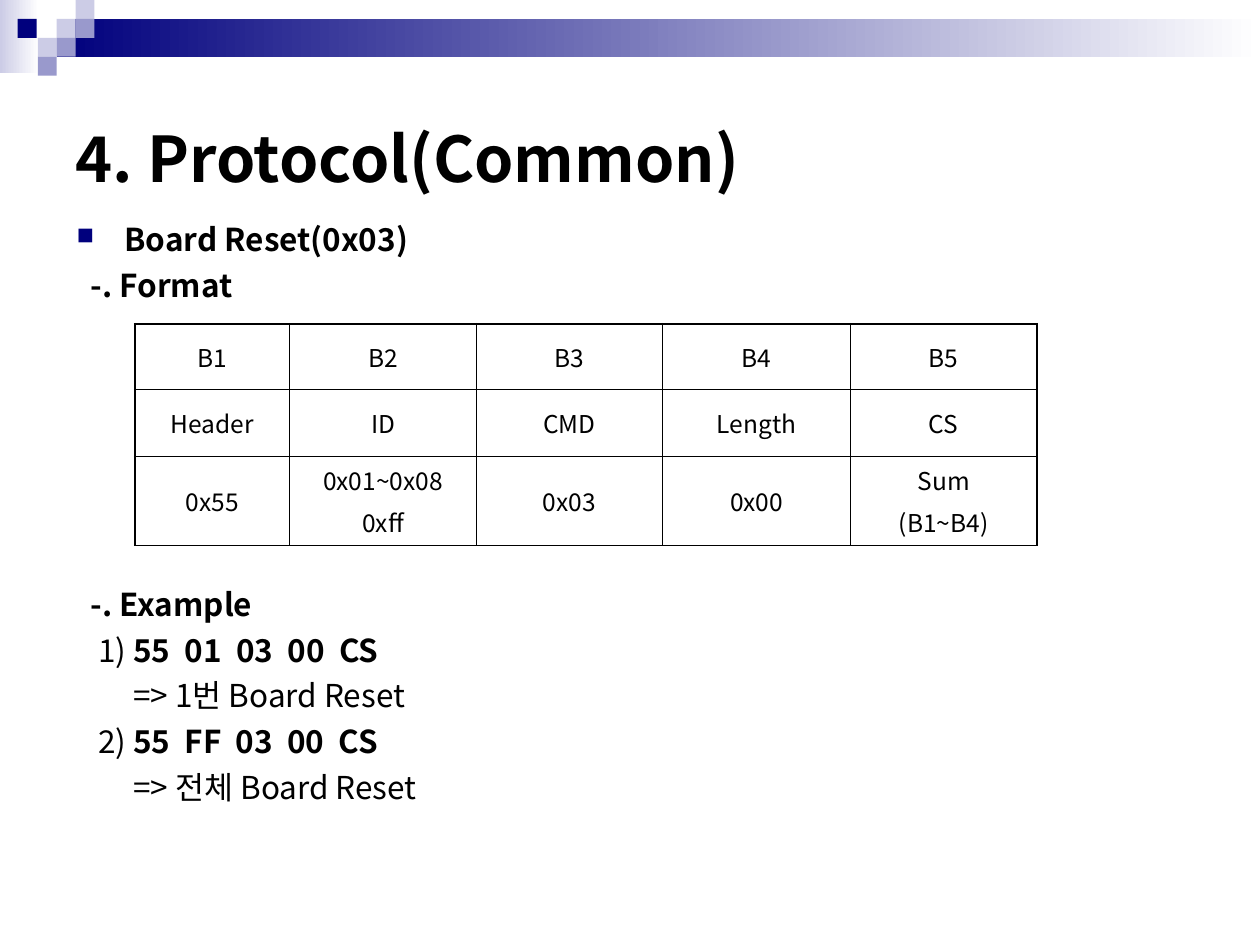
"""Build the Board Reset protocol slide."""
import pptx
import pptx.dml.color
import pptx.enum.shapes
import pptx.enum.text
import pptx.oxml.ns
import pptx.util
from lxml import etree

Inches, Pt = pptx.util.Inches, pptx.util.Pt
MIDDLE = pptx.enum.text.MSO_ANCHOR.MIDDLE
FONT = "Noto Sans CJK KR"
BLACK, WHITE, NAVY, LILAC, VIOLET = "000000", "FFFFFF", "00007D", "CCCCE6", "9999CC"

TITLE = "4. Protocol(Common)"
BANDS = [((0, 0, 0.31, 0.58), LILAC), ((0.45, 0.15, 9.55, 0.3), NAVY)]
TILE = 0.15
TILES = [
    (0.45, 0.15, LILAC), (0.6, 0, LILAC), (0.6, 0.15, VIOLET), (0.3, 0.3, LILAC),
    (0.14, 0.15, NAVY), (0.45, 0.3, VIOLET), (0.3, 0.45, VIOLET),
]
GAP, TABLE_GAP = 4.5, 160.7
LINES = [
    (0.38, GAP, "", "Board Reset(0x03)", ""),
    (0.11, GAP, "", "-. Format", ""),
    (0.11, TABLE_GAP, "", "-. Example", ""),
    (0.17, GAP, "1) ", "55  01  03  00  CS", ""),
    (0.45, GAP, "", "", "=> 1번 Board Reset"),
    (0.17, GAP, "2) ", "55  FF  03  00  CS", ""),
    (0.45, GAP, "", "", "=> 전체 Board Reset"),
]
ROWS = [
    ["B1", "B2", "B3", "B4", "B5"],
    ["Header", "ID", "CMD", "Length", "CS"],
    ["0x55", "0x01~0x08\n0xff", "0x03", "0x00", "Sum\n(B1~B4)"],
]
COL_WIDTHS = [1.23, 1.48, 1.48, 1.49, 1.48]
ROW_HEIGHTS = [0.52, 0.53, 0.71]
THICK, THIN = 1.08, 0.45


def rgb(color):
    """Turn a hex string into a colour."""
    return pptx.dml.color.RGBColor.from_string(color)


def child(parent, tag, **attrs):
    """Append a DrawingML element."""
    return etree.SubElement(parent, pptx.oxml.ns.qn(tag), attrs)


def style(p, size, bold=None):
    """Set the font of a paragraph for Latin and Korean text."""
    p.font.size, p.font.bold = Pt(size), bold
    p.font.color.rgb = rgb(BLACK)
    p.font.name = FONT
    child(p._p.pPr.get_or_add_defRPr(), "a:ea", typeface=FONT)


def add_rect(shapes, box, color, fade=False):
    """Add a plain or fading rectangle without outline."""
    sp = shapes.add_shape(pptx.enum.shapes.MSO_SHAPE.RECTANGLE, *map(Inches, box))
    sp.shadow.inherit = False
    sp.line.fill.background()
    if fade:
        sp.fill.gradient()
        sp.fill.gradient_angle = 180
        for stop, shade in zip(sp.fill.gradient_stops, (WHITE, color)):
            stop.color.rgb = rgb(shade)
    else:
        sp.fill.solid()
        sp.fill.fore_color.rgb = rgb(color)


def add_title(s):
    """Place and format the title."""
    sp = s.shapes.title
    sp.left, sp.top, sp.width, sp.height = map(Inches, (0.5, 0.5, 9, 1.5))
    tf = sp.text_frame
    tf.text, tf.vertical_anchor = TITLE, MIDDLE
    p = tf.paragraphs[0]
    p.alignment = pptx.enum.text.PP_ALIGN.LEFT
    style(p, 36, True)


def add_body(s):
    """Add the bulleted heading and the lines around the table."""
    tf = s.shapes.add_textbox(*map(Inches, (0.51, 1.7, 8.52, 4.96))).text_frame
    tf.word_wrap = True
    for i, (indent, before, label, strong, plain) in enumerate(LINES):
        p = tf.add_paragraph() if i else tf.paragraphs[0]
        p.space_before = Pt(before)
        pPr = p._p.get_or_add_pPr()
        pPr.set("marL", str(Inches(indent)))
        if i == 0:
            pPr.set("indent", str(-Inches(indent)))
            child(child(pPr, "a:buClr"), "a:srgbClr", val=NAVY)
            child(pPr, "a:buSzPct", val="75000")
            child(pPr, "a:buChar", char="■")
        for text, bold in ((label, False), (strong, True), (plain, False)):
            if text:
                r = p.add_run()
                r.text, r.font.bold = text, bold
        style(p, 18)


def set_borders(cell, widths):
    """Draw the left, right, top and bottom borders of a cell."""
    tcPr = cell._tc.get_or_add_tcPr()
    for side, width in zip("LRTB", widths):
        ln = child(tcPr, "a:ln" + side, w=str(Pt(width)))
        child(child(ln, "a:solidFill"), "a:srgbClr", val=BLACK)


def add_table(s):
    """Add the frame format table."""
    box = (1.07, 2.57, sum(COL_WIDTHS), sum(ROW_HEIGHTS))
    table = s.shapes.add_table(len(ROWS), len(COL_WIDTHS), *map(Inches, box)).table
    table.first_row = table.horz_banding = False
    for col, width in zip(table.columns, COL_WIDTHS):
        col.width = Inches(width)
    for row, height in zip(table.rows, ROW_HEIGHTS):
        row.height = Inches(height)
    for y, texts in enumerate(ROWS):
        for x, text in enumerate(texts):
            cell = table.cell(y, x)
            cell.text, cell.vertical_anchor = text, MIDDLE
            edges = (x == 0, x == len(texts) - 1, y == 0, y == len(ROWS) - 1)
            set_borders(cell, [THICK if edge else THIN for edge in edges])
            cell.fill.background()
            for p in cell.text_frame.paragraphs:
                p.alignment = pptx.enum.text.PP_ALIGN.CENTER
                p.space_before = Pt(3.5)
                style(p, 14)


def main():
    """Build and save the slide."""
    prs = pptx.Presentation()
    prs.slide_width, prs.slide_height = Inches(10), Inches(7.5)
    s = prs.slides.add_slide(prs.slide_layouts[5])
    for box, color in BANDS:
        add_rect(s.shapes, box, color, fade=True)
    for x, y, color in TILES:
        add_rect(s.shapes, (x, y, TILE, TILE), color)
    add_title(s)
    add_body(s)
    add_table(s)
    prs.save("out.pptx")


if __name__ == "__main__":
    main()
